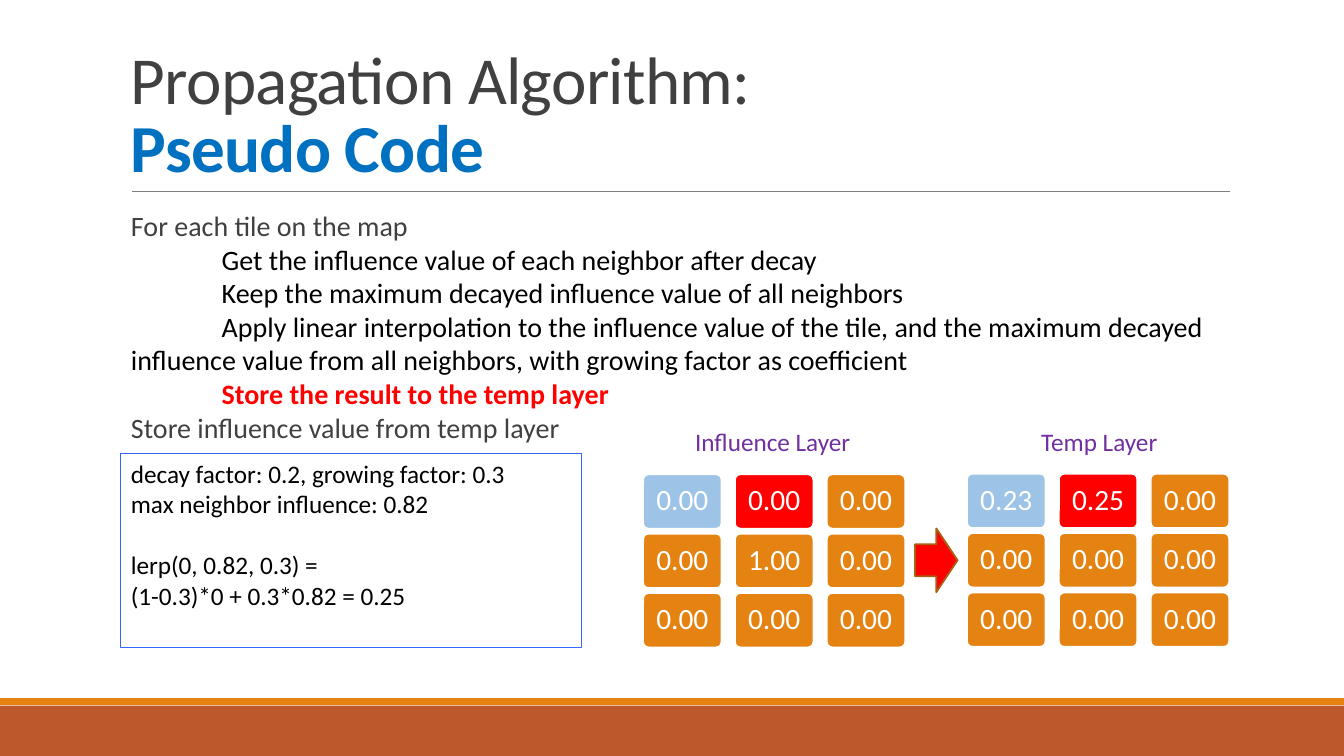
from dataclasses import dataclass

import pptx
import pptx.dml.color
import pptx.enum.shapes
import pptx.enum.text
import pptx.oxml
import pptx.util

Pt = pptx.util.Pt
SHAPES = pptx.enum.shapes.MSO_SHAPE
ANCHOR = pptx.enum.text.MSO_ANCHOR
ALIGN = pptx.enum.text.PP_ALIGN


@dataclass(frozen=True)
class Theme:
    font: str = "Calibri"
    title_size: float = 48
    body_size: float = 20
    cell_size: float = 21
    note_size: float = 18
    heading: str = "404040"
    text: str = "000000"
    white: str = "FFFFFF"
    blue: str = "0070C0"
    red: str = "FF0000"
    purple: str = "7030A0"
    orange: str = "E48312"
    rust: str = "BD582C"
    light_blue: str = "9DC3E6"
    rule: str = "808080"
    note_border: str = "3366FF"
    arrow_border: str = "A9610D"


def rgb(value):
    return pptx.dml.color.RGBColor.from_string(value)


class SlideBuilder:
    def __init__(self, slide, theme):
        self.slide = slide
        self.theme = theme

    def style(self, paragraph, size, color, bold=False):
        paragraph.font.name = self.theme.font
        paragraph.font.size = Pt(size)
        paragraph.font.bold = bold
        paragraph.font.color.rgb = rgb(color)

    def shape(self, kind, box, fill=None, line=None, line_width=1.25, parent=None):
        shapes = (parent or self.slide).shapes
        shape = shapes.add_shape(kind, *map(Pt, box))
        shape.shadow.inherit = False
        if fill:
            shape.fill.solid()
            shape.fill.fore_color.rgb = rgb(fill)
        else:
            shape.fill.background()
        if line:
            shape.line.color.rgb = rgb(line)
            shape.line.width = Pt(line_width)
        else:
            shape.line.fill.background()
        return shape

    def rule(self, left, right, y):
        line = self.slide.shapes.add_connector(
            pptx.enum.shapes.MSO_CONNECTOR.STRAIGHT, Pt(left), Pt(y), Pt(right), Pt(y))
        line.line.color.rgb = rgb(self.theme.rule)
        line.line.width = Pt(0.5)
        properties = line.element.spPr
        properties.append(properties.makeelement(pptx.oxml.ns.qn("a:effectLst"), {}))

    def text_frame(self, box):
        frame = self.slide.shapes.add_textbox(*map(Pt, box)).text_frame
        frame.word_wrap = True
        return frame

    def title(self, box, first_line, second_line):
        frame = self.text_frame(box)
        frame.vertical_anchor = ANCHOR.BOTTOM
        paragraph = frame.paragraphs[0]
        paragraph.line_spacing = 0.85
        self.style(paragraph, self.theme.title_size, self.theme.heading)
        first = paragraph.add_run()
        first.text = first_line
        paragraph.add_line_break()
        second = paragraph.add_run()
        second.text = second_line
        second.font.bold = True
        second.font.color.rgb = rgb(self.theme.blue)
        for run in (first, second):
            run.font._element.set("spc", "-50")

    def pseudo_code(self, box, steps):
        """Each step is (text, colour, indented, bold); only first lines are indented."""
        frame = self.text_frame(box)
        frame.margin_left = frame.margin_right = 0
        for index, (text, color, indented, bold) in enumerate(steps):
            paragraph = frame.add_paragraph() if index else frame.paragraphs[0]
            paragraph.text = text
            paragraph.line_spacing = Pt(24)
            properties = paragraph._p.get_or_add_pPr()
            properties.set("marL", str(Pt(7.2)))
            properties.set("indent", str(Pt(64.8 if indented else 0)))
            self.style(paragraph, self.theme.body_size, color, bold)

    def label(self, box, text):
        paragraph = self.text_frame(box).paragraphs[0]
        paragraph.text = text
        self.style(paragraph, self.theme.note_size, self.theme.purple)

    def note(self, box, blocks):
        """Draw a bordered box whose blocks of lines are one line apart."""
        shape = self.shape(SHAPES.RECTANGLE, box, line=self.theme.note_border, line_width=0.75)
        frame = shape.text_frame
        frame.word_wrap = True
        frame.vertical_anchor = ANCHOR.TOP
        paragraph = None
        for lines in blocks:
            for index, text in enumerate(lines):
                starts_new_block = paragraph is not None and index == 0
                paragraph = frame.add_paragraph() if paragraph else frame.paragraphs[0]
                paragraph.text = text
                paragraph.alignment = ALIGN.LEFT
                if starts_new_block:
                    paragraph.space_before = Pt(22)
                self.style(paragraph, self.theme.note_size, self.theme.text)

    def layer(self, left, top, rows):
        """Draw a grid of values with its first two cells highlighted."""
        highlights = {(0, 0): self.theme.light_blue, (0, 1): self.theme.red}
        group = self.slide.shapes.add_group_shape()
        for row, values in enumerate(rows):
            for column, value in enumerate(values):
                cell = self.shape(
                    SHAPES.ROUNDED_RECTANGLE,
                    (left + column * 65.6, top + row * 42.4, 56, 38.8),
                    highlights.get((row, column), self.theme.orange),
                    self.theme.white, parent=group)
                cell.adjustments[0] = 0.1
                frame = cell.text_frame
                frame.margin_left = frame.margin_right = Pt(6)
                frame.margin_top = frame.margin_bottom = Pt(6)
                frame.vertical_anchor = ANCHOR.MIDDLE
                paragraph = frame.paragraphs[0]
                paragraph.text = f"{value:.2f}"
                paragraph.alignment = ALIGN.CENTER
                paragraph.line_spacing = 0.9
                self.style(paragraph, self.theme.cell_size, self.theme.white)


def main():
    presentation = pptx.Presentation()
    presentation.slide_width = Pt(960)
    presentation.slide_height = Pt(540)
    theme = Theme()
    builder = SlideBuilder(presentation.slides.add_slide(presentation.slide_layouts[6]), theme)

    builder.shape(SHAPES.RECTANGLE, (0, 504, 960, 36), theme.rust)
    builder.shape(SHAPES.RECTANGLE, (0, 498.76, 960, 5.04), theme.orange)
    builder.rule(94.3, 878.4, 136.8)
    builder.title((86.4, 22.5, 792, 114.2), "Propagation Algorithm:", "Pseudo Code")
    builder.pseudo_code((86.4, 145.4, 792, 316.8), [
        ("For each tile on the map", theme.heading, False, False),
        ("Get the influence value of each neighbor after decay", theme.text, True, False),
        ("Keep the maximum decayed influence value of all neighbors", theme.text, True, False),
        ("Apply linear interpolation to the influence value of the tile, and the maximum decayed "
         "influence value from all neighbors, with growing factor as coefficient",
         theme.text, True, False),
        ("Store the result to the temp layer", theme.red, True, True),
        ("Store influence value from temp layer", theme.heading, False, False),
    ])

    builder.label((489.4, 301.3, 127.4, 29), "Influence Layer")
    builder.layer(459.4, 338.8, [(0, 0, 0), (0, 1, 0), (0, 0, 0)])
    builder.shape(SHAPES.RIGHT_ARROW, (653.6, 377.4, 30.4, 45.6), theme.red, theme.arrow_border)
    builder.label((736.6, 301.3, 127.4, 29), "Temp Layer")
    builder.layer(690.8, 338.4, [(0.23, 0.25, 0), (0, 0, 0), (0, 0, 0)])
    builder.note((86.4, 324, 329, 138.4), [
        ("decay factor: 0.2, growing factor: 0.3", "max neighbor influence: 0.82"),
        ("lerp(0, 0.82, 0.3) =", "(1-0.3)*0 + 0.3*0.82 = 0.25"),
    ])
    presentation.save("out.pptx")


if __name__ == "__main__":
    main()
